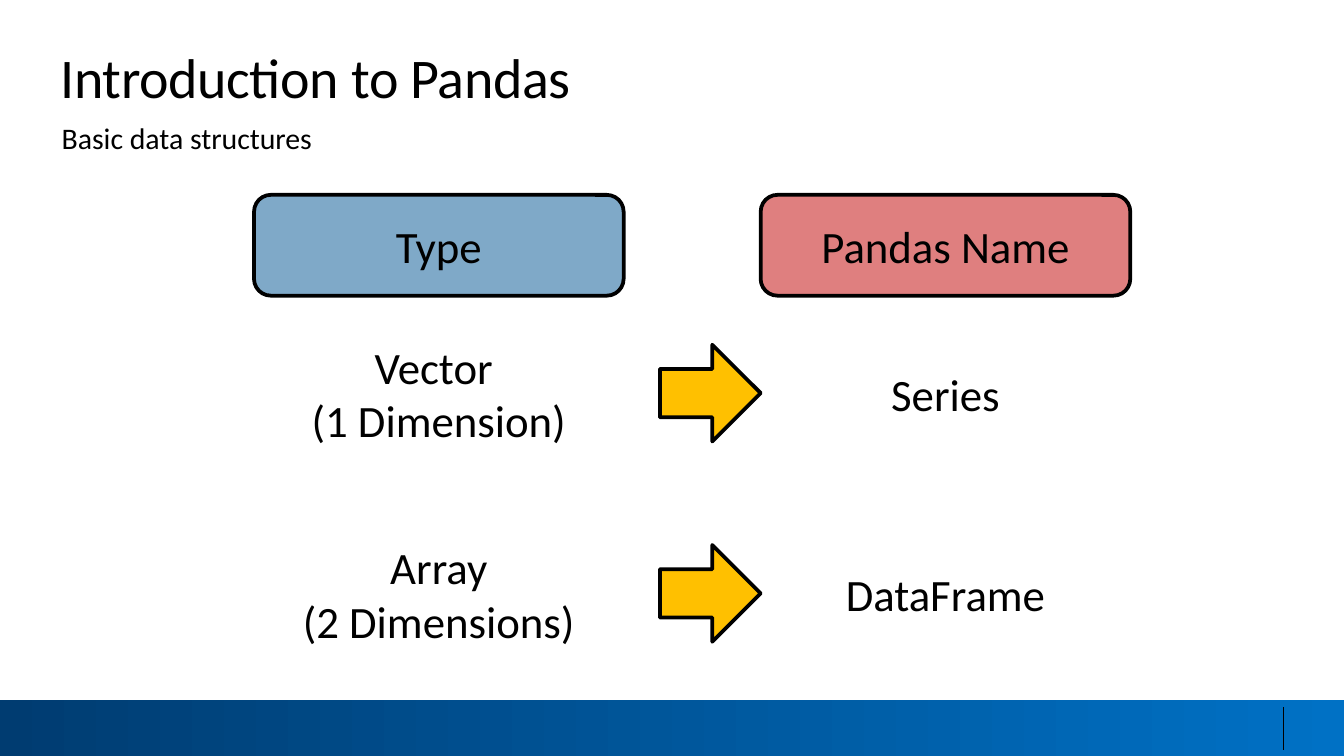
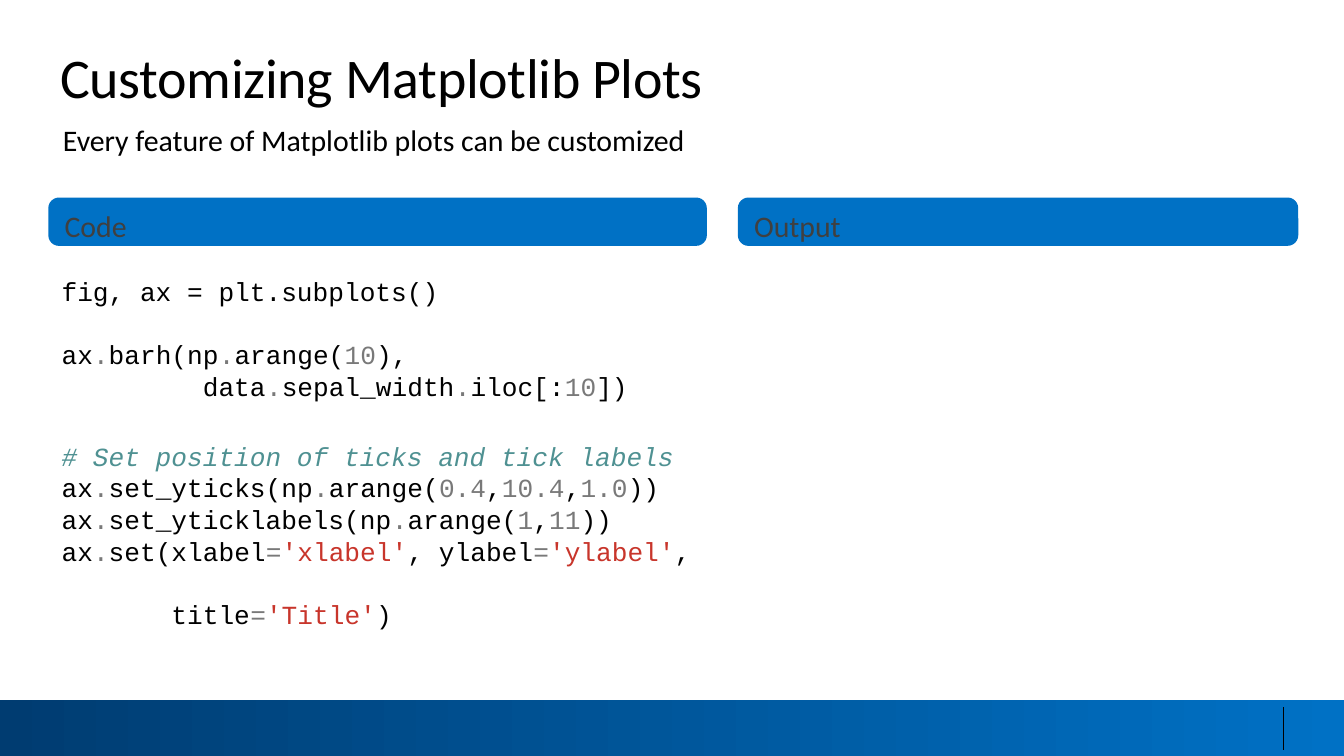
from dataclasses import dataclass
from itertools import groupby
from typing import Optional

from lxml.etree import SubElement
from pptx import Presentation
from pptx.dml.color import RGBColor
from pptx.enum.shapes import MSO_CONNECTOR as Connector, MSO_SHAPE as Shape
from pptx.enum.text import MSO_ANCHOR as Anchor, MSO_AUTO_SIZE as AutoSize, PP_ALIGN as Align
from pptx.oxml.ns import qn
from pptx.util import Inches, Pt

SLIDE_WIDTH = Inches(10)
SLIDE_HEIGHT = SLIDE_WIDTH * 9 // 16

BLACK = RGBColor(0x00, 0x00, 0x00)
BLUE = RGBColor(0x00, 0x71, 0xC5)
NAVY = RGBColor(0x00, 0x3C, 0x71)
TYPE_BLUE = RGBColor(0x00, 0x54, 0x93)
NAME_RED = RGBColor(0xC0, 0x00, 0x00)
ARROW_GOLD = RGBColor(0xFF, 0xC0, 0x00)
BAR_TEXT = RGBColor(0x40, 0x40, 0x40)
CODE_GRAY = RGBColor(0x79, 0x79, 0x79)
CODE_TEAL = RGBColor(0x4F, 0x91, 0x92)
CODE_RED = RGBColor(0xC8, 0x35, 0x2B)

BODY_FONT = "Calibri"
CODE_FONT = "Courier New"
CODE_PITCH = 16.9  # line height of the code in points


@dataclass(frozen=True)
class Box:
    left: float
    top: float
    width: float
    height: float

    def lengths(self) -> tuple:
        return tuple(Inches(v) for v in (self.left, self.top, self.width, self.height))


@dataclass(frozen=True)
class Panel:
    box: Box
    text: str = ""
    kind: Shape = Shape.ROUNDED_RECTANGLE
    fill: Optional[RGBColor] = None
    opacity: int = 100
    outlined: bool = False
    size: int = 24
    color: RGBColor = BLACK
    align: Align = Align.CENTER
    anchor: Anchor = Anchor.MIDDLE
    corner: Optional[float] = None


@dataclass(frozen=True)
class CodeLine:
    text: str
    gap: float = 0
    highlighted: bool = True


def style_runs(frame, size: float, color: RGBColor, align: Align) -> None:
    for paragraph in frame.paragraphs:
        paragraph.alignment = align
        for run in paragraph.runs:
            run.font.name = BODY_FONT
            run.font.size = Pt(size)
            run.font.color.rgb = color


def draw_panel(slide, panel: Panel) -> None:
    shape = slide.shapes.add_shape(panel.kind, *panel.box.lengths())
    shape.shadow.inherit = False
    if panel.corner is not None:
        shape.adjustments[0] = panel.corner
    if panel.fill is None:
        shape.fill.background()
    else:
        shape.fill.solid()
        shape.fill.fore_color.rgb = panel.fill
        if panel.opacity < 100:
            color = shape._element.spPr.find(qn("a:solidFill")).find(qn("a:srgbClr"))
            SubElement(color, qn("a:alpha")).set("val", str(panel.opacity * 1000))
    if panel.outlined:
        shape.line.color.rgb = BLACK
        shape.line.width = Pt(2)
    else:
        shape.line.fill.background()
    if panel.text:
        frame = shape.text_frame
        frame.text = panel.text
        frame.vertical_anchor = panel.anchor
        style_runs(frame, panel.size, panel.color, panel.align)


def draw_footer(slide) -> None:
    band = slide.shapes.add_shape(Shape.RECTANGLE, *Box(0, 5.21, 10, 0.42).lengths())
    band.shadow.inherit = False
    band.line.fill.background()
    band.fill.gradient()
    band.fill.gradient_angle = 180
    for stop, color, position in zip(band.fill.gradient_stops, (BLUE, NAVY), (0, 1)):
        stop.color.rgb = color
        stop.position = position

    divider = slide.shapes.add_connector(
        Connector.STRAIGHT, Inches(9.55), Inches(5.26), Inches(9.55), Inches(5.58))
    divider.line.color.rgb = BLACK
    divider.line.width = Pt(0.75)
    SubElement(divider._element.spPr, qn("a:effectLst"))


def draw_title(slide, text: str) -> None:
    title = slide.shapes.title
    title.left, title.top, title.width, title.height = Box(0.44, 0.32, 9.23, 0.5).lengths()
    frame = title.text_frame
    frame.text = text
    frame.word_wrap = True
    frame.auto_size = AutoSize.NONE
    frame.vertical_anchor = Anchor.TOP
    frame.margin_left = frame.margin_top = frame.margin_right = frame.margin_bottom = 0
    paragraph = frame.paragraphs[0]
    paragraph._p.get_or_add_pPr().set("marL", str(Inches(0.01)))
    style_runs(frame, 30, BLACK, Align.LEFT)
    paragraph.runs[0]._r.get_or_add_rPr().set("spc", "-20")


def draw_subtitle(slide, text: str, left: float, top: float) -> None:
    subtitle = slide.shapes.add_textbox(*Box(left, top, 7.48, 0.36).lengths())
    frame = subtitle.text_frame
    frame.word_wrap = True
    frame.text = text
    frame.paragraphs[0].space_after = Pt(6)
    style_runs(frame, 16, BLACK, Align.LEFT)


def add_slide(deck, title: str):
    slide = deck.slides.add_slide(deck.slide_layouts[5])
    draw_footer(slide)
    draw_title(slide, title)
    return slide


def code_tokens(line: CodeLine) -> list:
    """Split a line into (text, colour) pieces."""
    if not line.highlighted:
        return [(line.text, BLACK)]
    if line.text.startswith("#"):
        return [(line.text, CODE_TEAL)]
    tokens = []
    for index, part in enumerate(line.text.split("'")):
        if index % 2:
            tokens.append((f"'{part}'", CODE_RED))
            continue
        for is_gray, chars in groupby(part, lambda char: char in "0123456789.="):
            tokens.append(("".join(chars), CODE_GRAY if is_gray else BLACK))
    return tokens


def draw_code(slide, box: Box, lines: list) -> None:
    frame = slide.shapes.add_textbox(*box.lengths()).text_frame
    frame.word_wrap = True
    for index, line in enumerate(lines):
        paragraph = frame.add_paragraph() if index else frame.paragraphs[0]
        paragraph.line_spacing = Pt(CODE_PITCH)
        if line.gap:
            paragraph.space_before = Pt(line.gap)
        for text, color in code_tokens(line):
            run = paragraph.add_run()
            run.text = text
            run.font.name = CODE_FONT
            run.font.size = Pt(14)
            run.font.color.rgb = color
            run.font.italic = color == CODE_TEAL


def build_structures(deck) -> None:
    slide = add_slide(deck, "Introduction to Pandas")
    draw_subtitle(slide, "Basic data structures", 0.36, 0.84)

    # Column headings
    for left, text, fill in ((1.89, "Type", TYPE_BLUE), (5.66, "Pandas Name", NAME_RED)):
        draw_panel(slide, Panel(Box(left, 1.45, 2.75, 0.75), text,
                                fill=fill, opacity=50, outlined=True))

    # One row per structure: type, arrow, name
    row_top, row_step, row_height, arrow_height = 2.29, 1.49, 1.27, 0.72
    rows = (("Vector \n(1 Dimension)", "Series"), ("Array\n(2 Dimensions)", "DataFrame"))
    for index, (data_type, pandas_name) in enumerate(rows):
        top = row_top + index * row_step
        arrow_top = top + (row_height - arrow_height) / 2
        draw_panel(slide, Panel(Box(1.89, top, 2.75, row_height), data_type))
        draw_panel(slide, Panel(Box(5.8, top, 2.47, row_height), pandas_name))
        draw_panel(slide, Panel(Box(4.91, arrow_top, 0.75, arrow_height),
                                kind=Shape.RIGHT_ARROW, fill=ARROW_GOLD, outlined=True))


def build_customizing(deck) -> None:
    slide = add_slide(deck, "Customizing Matplotlib Plots")
    draw_subtitle(slide, "Every feature of Matplotlib plots can be customized", 0.37, 0.86)

    # Section bars
    for left, width, text in ((0.36, 4.9, "Code"), (5.49, 4.17, "Output")):
        draw_panel(slide, Panel(Box(left, 1.47, width, 0.36), text, fill=BLUE, size=16,
                                color=BAR_TEXT, align=Align.LEFT, anchor=Anchor.TOP,
                                corner=0.22))

    # Code listing
    draw_code(slide, Box(0.36, 2, 4.98, 2.66), [
        CodeLine("fig, ax = plt.subplots()", highlighted=False),
        CodeLine("ax.barh(np.arange(10),", gap=CODE_PITCH),
        CodeLine("         data.sepal_width.iloc[:10])"),
        CodeLine("# Set position of ticks and tick labels", gap=20.7),
        CodeLine("ax.set_yticks(np.arange(0.4,10.4,1.0))"),
        CodeLine("ax.set_yticklabels(np.arange(1,11))"),
        CodeLine("ax.set(xlabel='xlabel', ylabel='ylabel',"),
        CodeLine("       title='Title')", gap=CODE_PITCH),
    ])


def main() -> None:
    deck = Presentation()
    deck.slide_width, deck.slide_height = SLIDE_WIDTH, SLIDE_HEIGHT
    build_structures(deck)
    build_customizing(deck)
    deck.save("out.pptx")


if __name__ == "__main__":
    main()
